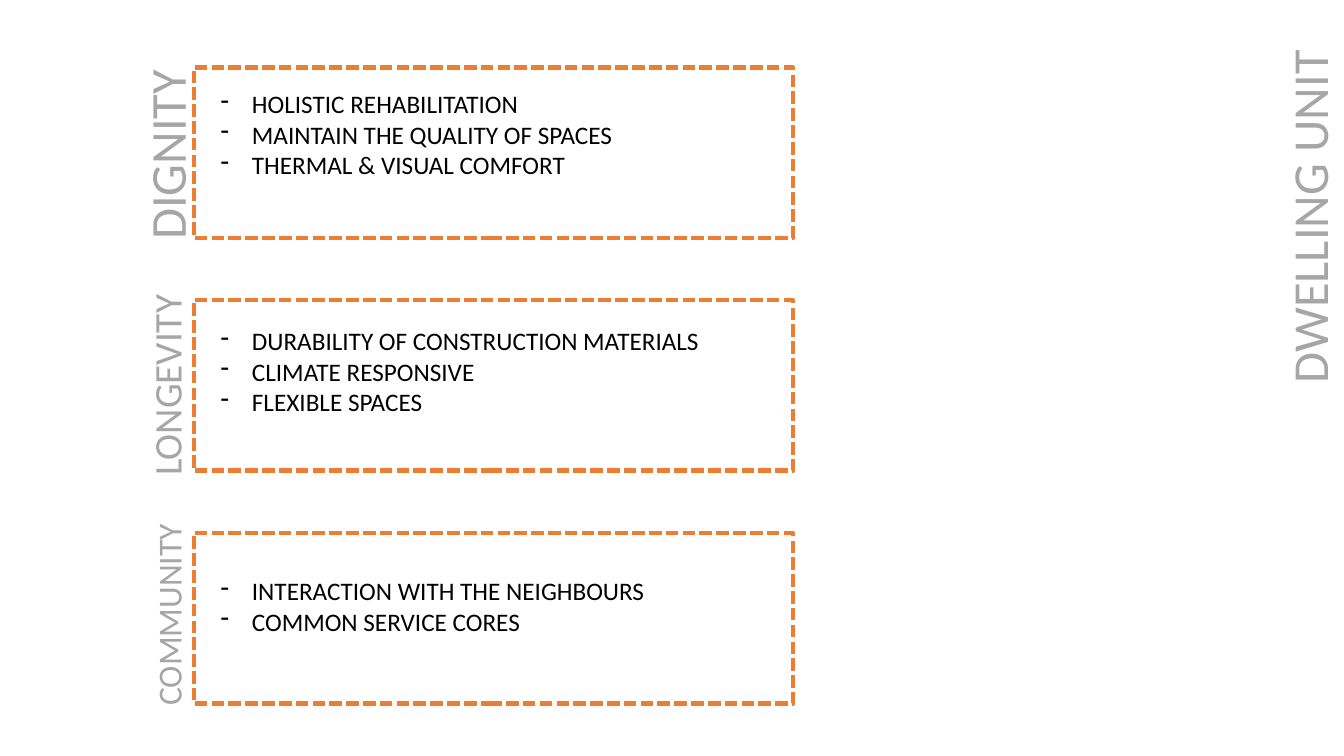
import pptx
import pptx.util
import pptx.dml.color
import pptx.enum.dml
import pptx.enum.shapes
import pptx.enum.text
import lxml.etree

Cm, Pt = pptx.util.Cm, pptx.util.Pt

TITLE = "DWELLING UNIT"
PRINCIPLES = [
    {"label": "DIGNITY", "size": 36, "label_box": (1.47, 2.67, 5.44, 1.8), "goals_top": 2.11,
     "goals": ["HOLISTIC REHABILITATION", "MAINTAIN THE QUALITY OF SPACES",
               "THERMAL & VISUAL COMFORT"]},
    {"label": "LONGEVITY", "size": 28, "label_box": (1.47, 8.79, 5.44, 1.45), "goals_top": 8.08,
     "goals": ["DURABILITY OF CONSTRUCTION MATERIALS", "CLIMATE RESPONSIVE",
               "FLEXIBLE SPACES"]},
    {"label": "COMMUNITY", "size": 24, "label_box": (1.52, 14.68, 5.44, 1.27), "goals_top": 14.38,
     "goals": ["INTERACTION WITH THE NEIGHBOURS", "COMMON SERVICE CORES"]},
]
FRAME_LEFT, FRAME_TOP, FRAME_WIDTH, FRAME_HEIGHT = 4.88, 1.7, 15.11, 4.29
FRAME_PITCH = 5.87
GREY, ORANGE, BLACK = "A6A6A6", "ED7D31", "000000"


def colour(value):
    return pptx.dml.color.RGBColor.from_string(value)


def write(holder, lines, size, ink):
    frame = holder.text_frame
    frame.text = "\n".join(lines)
    frame.word_wrap = True
    frame.auto_size = pptx.enum.text.MSO_AUTO_SIZE.SHAPE_TO_FIT_TEXT
    frame.vertical_anchor = pptx.enum.text.MSO_ANCHOR.TOP
    for paragraph in frame.paragraphs:
        paragraph.alignment = pptx.enum.text.PP_ALIGN.LEFT
        for run in paragraph.runs:
            run.font.size = Pt(size)
            run.font.name = "Calibri"
            run.font.color.rgb = colour(ink)


def dash_bullet(paragraph):
    properties = paragraph._p.get_or_add_pPr()
    properties.set("marL", str(Cm(0.79)))
    properties.set("indent", str(-Cm(0.79)))
    namespace = "{" + properties.nsmap["a"] + "}"
    lxml.etree.SubElement(properties, namespace + "buFontTx")
    lxml.etree.SubElement(properties, namespace + "buChar", char="-")


deck = pptx.Presentation()
deck.slide_width, deck.slide_height = Cm(33.87), Cm(19.05)
slide = deck.slides.add_slide(deck.slide_layouts[5])

title = slide.shapes.title
title.left, title.top, title.width, title.height = Cm(28.02), Cm(4.06), Cm(9.91), Cm(1.8)
title.rotation = 270
write(title, [TITLE], 36, GREY)

for row, principle in enumerate(PRINCIPLES):
    frame = slide.shapes.add_shape(
        pptx.enum.shapes.MSO_SHAPE.RECTANGLE, Cm(FRAME_LEFT),
        Cm(FRAME_TOP + row * FRAME_PITCH), Cm(FRAME_WIDTH), Cm(FRAME_HEIGHT))
    frame.shadow.inherit = False
    frame.fill.background()
    frame.line.color.rgb = colour(ORANGE)
    frame.line.width = Pt(3)
    frame.line.dash_style = pptx.enum.dml.MSO_LINE.SQUARE_DOT

    label = slide.shapes.add_textbox(*map(Cm, principle["label_box"]))
    label.rotation = 270
    write(label, [principle["label"]], principle["size"], GREY)

    goals = slide.shapes.add_textbox(Cm(5.31), Cm(principle["goals_top"]), Cm(14.68), Cm(2.57))
    write(goals, principle["goals"], 18, BLACK)
    for paragraph in goals.text_frame.paragraphs:
        dash_bullet(paragraph)

deck.save("out.pptx")
